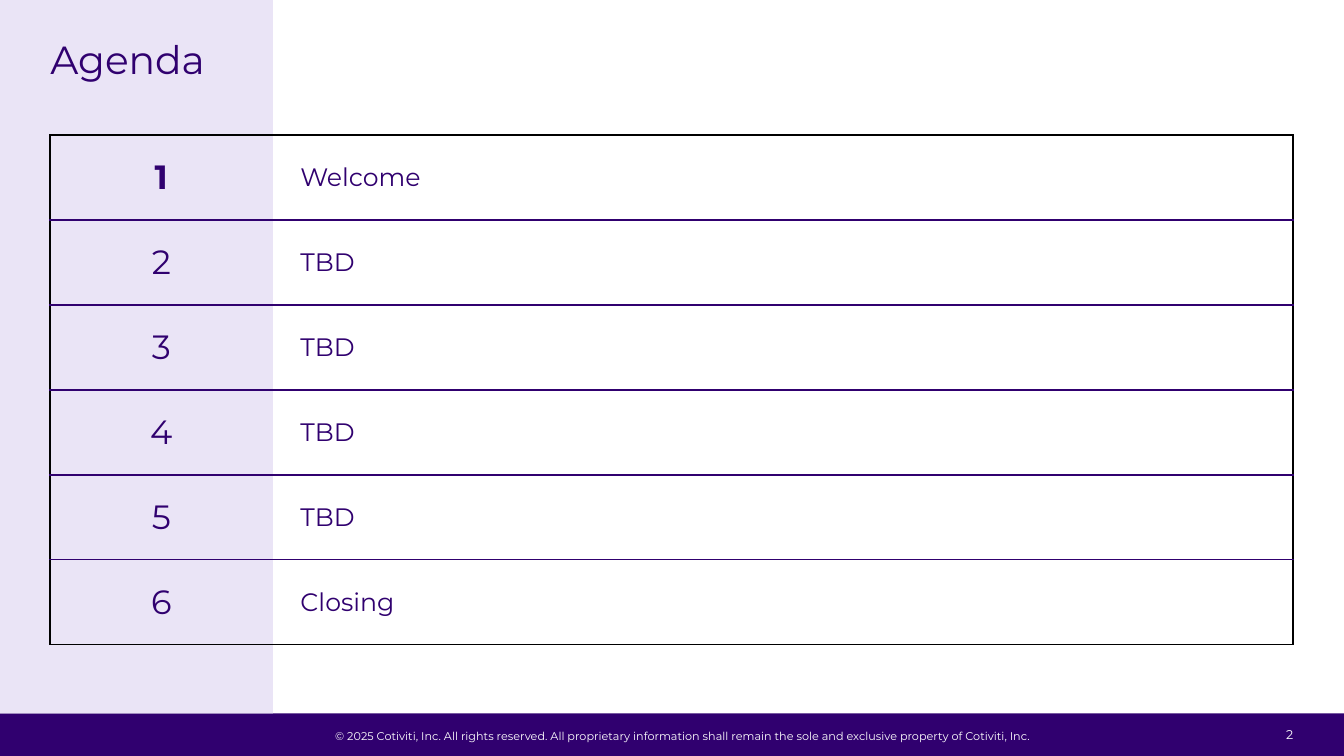
import pptx
import pptx.dml.color
import pptx.enum.shapes
import pptx.enum.text
import pptx.oxml.ns
import pptx.util
from lxml import etree

Cm = pptx.util.Cm
Pt = pptx.util.Pt
ALIGN = pptx.enum.text.PP_ALIGN
ANCHOR = pptx.enum.text.MSO_ANCHOR

TITLE = "Agenda"
TOPICS = ["Welcome", "TBD", "TBD", "TBD", "TBD", "Closing"]
COPYRIGHT = ("© 2025 Cotiviti, Inc. All rights reserved. All proprietary information "
             "shall remain the sole and exclusive property of Cotiviti, Inc.")
PAGE_NUMBER = "2"

FONT = "Montserrat"
PURPLE, LILAC, WHITE, BLACK = "30006F", "EAE4F6", "FFFFFF", "000000"

PAGE_WIDTH, PAGE_HEIGHT = 33.87, 19.05
FOOTER_TOP = 17.98
SIDE_WIDTH = 6.88
MARGIN = 1.27
TABLE_TOP, ROW_HEIGHT = 3.4, 2.14
COLUMN_WIDTHS = (5.59, 25.73)
CONTENT_WIDTH = sum(COLUMN_WIDTHS)


def colour(value):
    return pptx.dml.color.RGBColor.from_string(value)


def add_band(page, left, top, width, height, fill):
    band = page.shapes.add_shape(pptx.enum.shapes.MSO_SHAPE.RECTANGLE,
                                 Cm(left), Cm(top), Cm(width), Cm(height))
    band.shadow.inherit = False
    band.fill.solid()
    band.fill.fore_color.rgb = colour(fill)
    band.line.fill.background()


def write(frame, text, size, ink, align=ALIGN.LEFT, bold=False):
    frame.text = text
    para = frame.paragraphs[0]
    para.alignment = align
    font = para.runs[0].font
    font.name, font.size, font.bold = FONT, Pt(size), bold
    font.color.rgb = colour(ink)
    return para


def add_text(page, place, text, size, ink, align=ALIGN.LEFT, anchor=ANCHOR.TOP, wrap=True):
    """Add a text box without insets and return its paragraph."""
    box = page.shapes.add_textbox(*(Cm(length) for length in place))
    frame = box.text_frame
    frame.margin_left = frame.margin_right = frame.margin_top = frame.margin_bottom = 0
    frame.word_wrap = wrap
    frame.vertical_anchor = anchor
    return write(frame, text, size, ink, align)


def set_borders(cell, **edges):
    """Draw the edges L, R, T, B in the given colours; None hides an edge."""
    properties = cell._tc.get_or_add_tcPr()
    qn = pptx.oxml.ns.qn
    for side in "LRTB":
        ink = edges[side]
        line = etree.SubElement(properties, qn(f"a:ln{side}"), w=str(Pt(1.5) if ink else 0))
        if ink:
            fill = etree.SubElement(line, qn("a:solidFill"))
            etree.SubElement(fill, qn("a:srgbClr"), val=ink)
        else:
            etree.SubElement(line, qn("a:noFill"))


def add_agenda(page):
    table = page.shapes.add_table(len(TOPICS), 2, Cm(MARGIN), Cm(TABLE_TOP), Cm(CONTENT_WIDTH),
                                  Cm(ROW_HEIGHT * len(TOPICS))).table
    table.first_row = table.horz_banding = False
    for column, width in zip(table.columns, COLUMN_WIDTHS):
        column.width = Cm(width)
    last = len(TOPICS) - 1
    for index, topic in enumerate(TOPICS):
        table.rows[index].height = Cm(ROW_HEIGHT)
        number_cell, topic_cell = table.cell(index, 0), table.cell(index, 1)
        top = BLACK if index == 0 else PURPLE
        bottom = BLACK if index == last else PURPLE
        set_borders(number_cell, L=BLACK, R=None, T=top, B=bottom)
        set_borders(topic_cell, L=None, R=BLACK, T=top, B=bottom)
        for cell in (number_cell, topic_cell):
            cell.fill.background()
            cell.vertical_anchor = ANCHOR.MIDDLE
        topic_cell.margin_left = Cm(0.71)
        write(number_cell.text_frame, str(index + 1), 24, PURPLE, ALIGN.CENTER, bold=index == 0)
        write(topic_cell.text_frame, topic, 18, PURPLE)


def main():
    deck = pptx.Presentation()
    deck.slide_width, deck.slide_height = Cm(PAGE_WIDTH), Cm(PAGE_HEIGHT)
    page = deck.slides.add_slide(deck.slide_layouts[6])

    add_band(page, 0, FOOTER_TOP, PAGE_WIDTH, PAGE_HEIGHT - FOOTER_TOP, PURPLE)
    add_band(page, 0, 0, SIDE_WIDTH, FOOTER_TOP, LILAC)
    add_text(page, (8.15, 18.24, 18.14, 0.6), COPYRIGHT, 8, WHITE,
             ALIGN.CENTER, ANCHOR.MIDDLE, wrap=False)
    add_text(page, (31.24, 18.14, 1.35, 0.76), PAGE_NUMBER, 9, WHITE,
             ALIGN.RIGHT, ANCHOR.MIDDLE)
    add_agenda(page)
    title = add_text(page, (MARGIN, 1.02, CONTENT_WIDTH, 2.16), TITLE, 28, PURPLE)
    title.line_spacing = 0.9
    deck.save("out.pptx")


if __name__ == "__main__":
    main()
